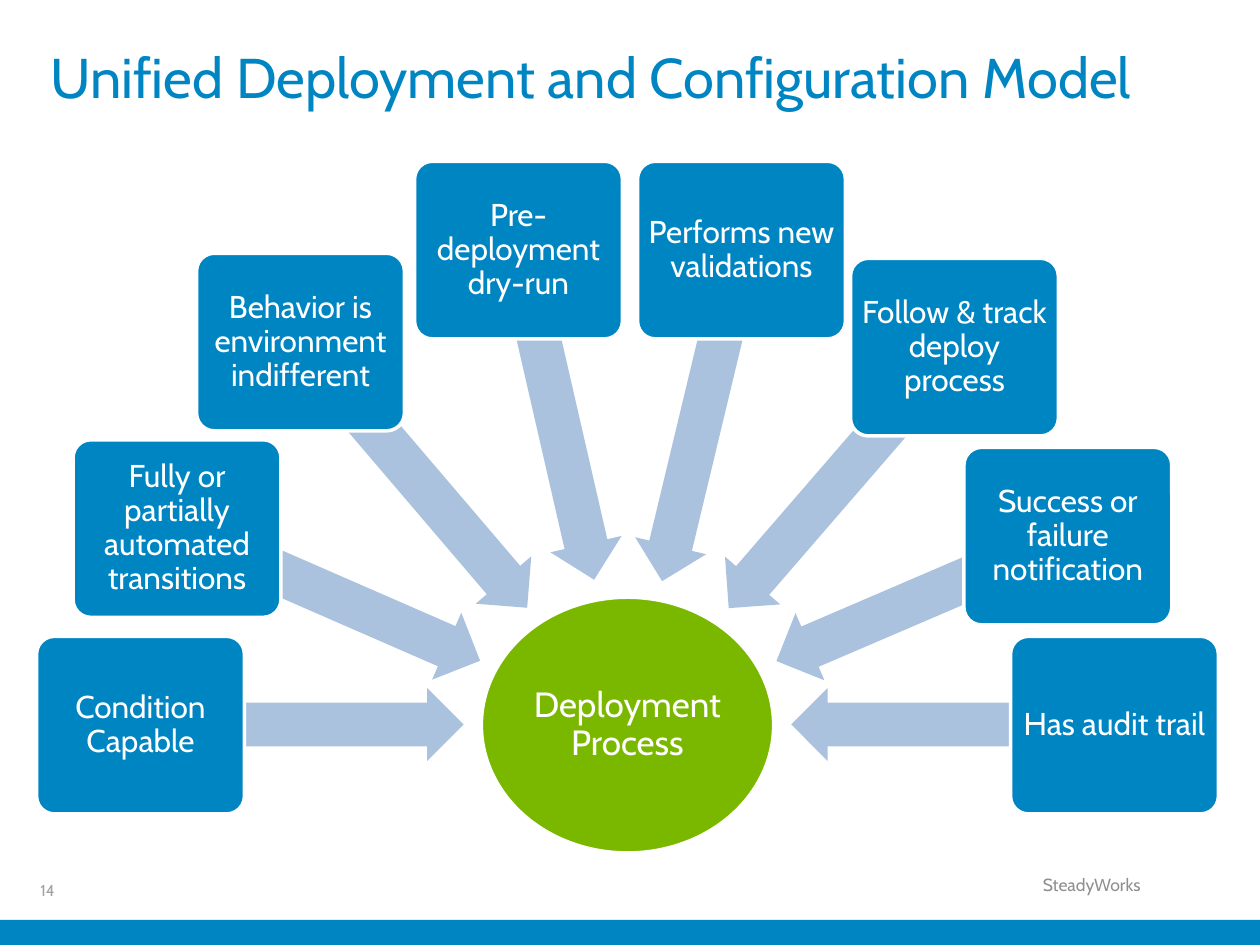
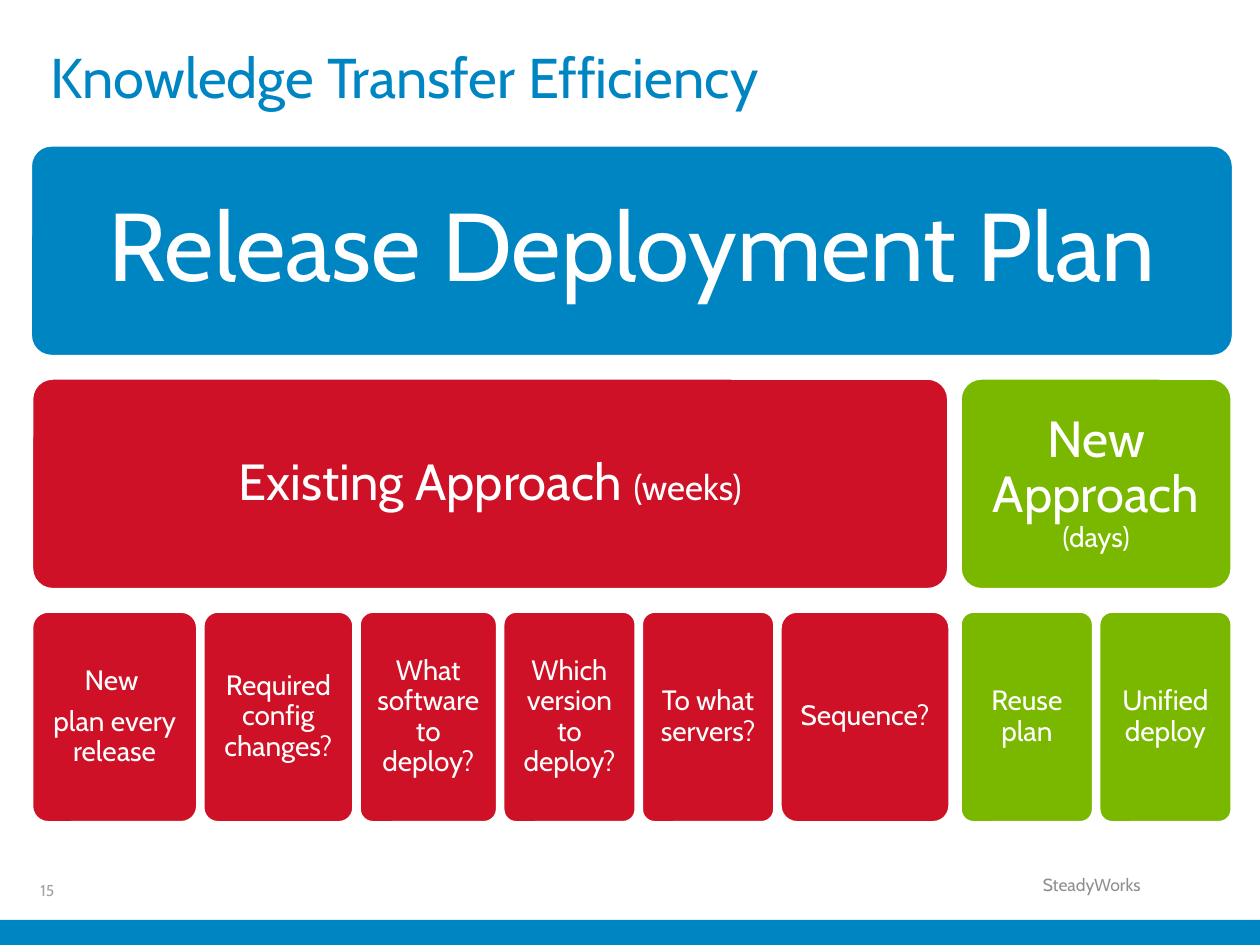
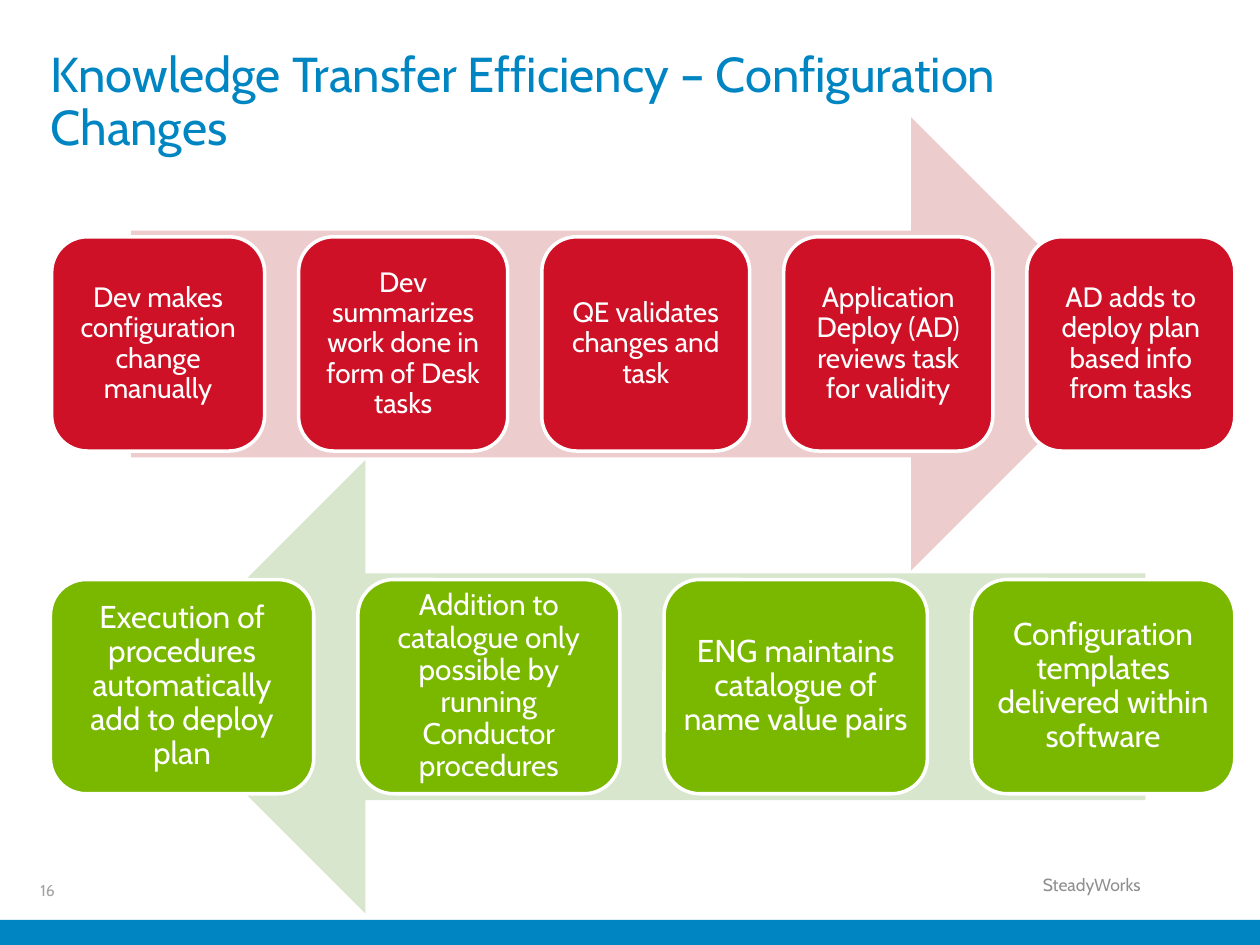
from dataclasses import dataclass
from math import atan2, cos, degrees, hypot, sin

from pptx import Presentation
from pptx.dml.color import RGBColor
from pptx.enum.shapes import MSO_SHAPE
from pptx.enum.text import MSO_ANCHOR, PP_ALIGN
from pptx.util import Pt

SCALE = 9144
FONT = "Cabin"
BLUE = RGBColor(0x00, 0x85, 0xC3)
GREEN = RGBColor(0x7A, 0xB8, 0x00)
RED = RGBColor(0xCE, 0x11, 0x26)
WHITE = RGBColor(0xFF, 0xFF, 0xFF)
STEEL = RGBColor(0xAB, 0xC2, 0xDE)
PINK = RGBColor(0xED, 0xCC, 0xCD)
MINT = RGBColor(0xD7, 0xE6, 0xCC)
GREY = RGBColor(0x8F, 0x8F, 0x8F)
PALE = RGBColor(0xA2, 0xA2, 0xA2)


@dataclass(frozen=True)
class Box:
    left: int
    top: int
    width: int
    height: int


@dataclass(frozen=True)
class Type:
    size: int
    color: RGBColor = WHITE
    align: PP_ALIGN = PP_ALIGN.CENTER
    anchor: MSO_ANCHOR = MSO_ANCHOR.MIDDLE
    inset: tuple[int, int] = (7, 7)


@dataclass(frozen=True)
class Card:
    text: str
    box: Box
    fill: RGBColor
    type: Type
    note: str = ""
    small: int = 0
    curve: float = 0.1
    form: MSO_SHAPE = MSO_SHAPE.ROUNDED_RECTANGLE


HEAD = Type(32, BLUE, PP_ALIGN.LEFT, MSO_ANCHOR.TOP, (0, 0))
LONG = Type(28, BLUE, PP_ALIGN.LEFT, MSO_ANCHOR.TOP, (0, 0))
COUNT = Type(9, PALE, PP_ALIGN.LEFT, MSO_ANCHOR.MIDDLE, (0, 0))
FOOT = Type(10, GREY, PP_ALIGN.RIGHT, MSO_ANCHOR.TOP, (10, 5))
HUB = Box(382, 474, 232, 203)
SPOKE = Type(18, inset=(4, 4))
SPOKES = [
    ("Condition Capable", 29, 505),
    ("Fully or partially automated transitions", 58, 349),
    ("Behavior is environment indifferent", 156, 201),
    ("Pre- deployment dry-run", 329, 128),
    ("Performs new validations", 506, 128),
    ("Follow & track deploy process", 675, 205),
    ("Success or failure notification", 765, 355),
    ("Has audit trail", 802, 505),
]
OLD = [
    ("New \nplan every release", 132),
    ("Required config changes?", 120),
    ("What software to deploy?", 110),
    ("Which version to deploy?", 106),
    ("To what servers?", 106),
    ("Sequence?", 135),
]
NEW = [("Reuse plan", 106), ("Unified deploy", 106)]
MANUAL = [
    ("Dev makes configuration change manually", 169),
    ("Dev summarizes work done in form of Desk tasks", 166),
    ("QE validates changes and task", 165),
    ("Application Deploy (AD) reviews task for validity", 166),
    ("AD adds to deploy plan based info from tasks", 165),
]
MANAGED = [
    ("Execution of procedures automatically add to deploy plan", 209),
    ("Addition to catalogue only possible by running Conductor procedures", 208),
    ("ENG maintains catalogue of name value pairs", 209),
    ("Configuration templates delivered within software", 209),
]


def place(box: Box) -> list[int]:
    return [n * SCALE for n in (box.left, box.top, box.width, box.height)]


def write(shape, text: str, kind: Type, note: str = "", small: int = 0) -> None:
    frame = shape.text_frame
    frame.word_wrap = True
    frame.vertical_anchor = kind.anchor
    side, edge = (n * SCALE for n in kind.inset)
    frame.margin_left = frame.margin_right = side
    frame.margin_top = frame.margin_bottom = edge
    lines = text.split("\n")
    for i, line in enumerate(lines):
        para = frame.paragraphs[0] if i == 0 else frame.add_paragraph()
        para.alignment = kind.align
        para.line_spacing = 0.9
        if i < len(lines) - 1:
            para.space_after = Pt(6)
        font = para.font
        font.name, font.size = FONT, Pt(kind.size)
        font.color.rgb = kind.color
        para.add_run().text = line
    if note:
        tail = para.add_run()
        tail.text = note
        tail.font.size = Pt(small)


def label(slide, text: str, box: Box, kind: Type) -> None:
    write(slide.shapes.add_textbox(*place(box)), text, kind)


def draw(slide, form: MSO_SHAPE, box: Box, fill: RGBColor):
    shape = slide.shapes.add_shape(form, *place(box))
    shape.shadow.inherit = False
    shape.fill.solid()
    shape.fill.fore_color.rgb = fill
    shape.line.fill.background()
    return shape


def deal(slide, card: Card) -> None:
    shape = draw(slide, card.form, card.box, card.fill)
    shape.line.color.rgb = WHITE
    shape.line.width = Pt(2)
    if card.form == MSO_SHAPE.ROUNDED_RECTANGLE:
        shape.adjustments[0] = card.curve
    write(shape, card.text, card.type, card.note, card.small)


def row(items: list[tuple[str, int]], start: Box, gap: int, fill: RGBColor,
        size: int, curve: float = 0.1) -> list[Card]:
    cards, left = [], start.left
    for text, width in items:
        box = Box(left, start.top, width, start.height)
        cards.append(Card(text, box, fill, Type(size), curve=curve))
        left += width + gap
    return cards


def begin(deck, number: int, title: str, kind: Type = HEAD, width: int = 870):
    slide = deck.slides.add_slide(deck.slide_layouts[6])
    label(slide, str(number), Box(32, 701, 29, 13), COUNT)
    draw(slide, MSO_SHAPE.RECTANGLE, Box(0, 730, 1000, 20), BLUE)
    label(slide, "SteadyWorks", Box(745, 691, 170, 25), FOOT)
    label(slide, title, Box(40, 40, width, 93), kind)
    return slide


def point(slide, box: Box) -> None:
    x, y = box.left + box.width / 2, box.top + box.height / 2
    dx = HUB.left + HUB.width / 2 - x
    dy = HUB.top + HUB.height / 2 - y
    turn = atan2(dy, dx)
    span = hypot(dx, dy) - 1 / hypot(cos(turn) / 130.5, sin(turn) / 117.5)
    left = round(x + span / 2 * cos(turn) - span / 2)
    top = round(y + span / 2 * sin(turn) - 29)
    arrow = draw(slide, MSO_SHAPE.LEFT_ARROW, Box(left, top, round(span), 58), STEEL)
    arrow.rotation = (degrees(turn) + 180) % 360
    arrow.adjustments[0] = 0.6
    arrow.adjustments[1] = 0.5


def model(deck) -> None:
    slide = begin(deck, 14, "Unified Deployment and Configuration Model", width=930)
    deal(slide, Card("Deployment Process", HUB, GREEN, Type(20, inset=(1, 1)),
                     form=MSO_SHAPE.OVAL))
    for text, left, top in SPOKES:
        box = Box(left, top, 165, 141)
        point(slide, box)
        deal(slide, Card(text, box, BLUE, SPOKE))


def plan(deck) -> None:
    slide = begin(deck, 15, "Knowledge Transfer Efficiency")
    group = Type(29, inset=(12, 12))
    cards = [
        Card("Release Deployment Plan", Box(24, 115, 955, 168), BLUE,
             Type(55, inset=(23, 23))),
        Card("Existing Approach ", Box(25, 300, 728, 168), RED, group, "(weeks)", 20),
        Card("New Approach ", Box(762, 300, 216, 168), GREEN, group, "(days)", 16),
        *row(OLD, Box(25, 485, 0, 168), 4, RED, 16),
        *row(NEW, Box(762, 485, 0, 168), 4, GREEN, 16),
    ]
    for card in cards:
        deal(slide, card)


def change(deck) -> None:
    title = "Knowledge Transfer Efficiency – Configuration Changes"
    slide = begin(deck, 16, title, LONG)
    draw(slide, MSO_SHAPE.RIGHT_ARROW, Box(104, 93, 799, 360), PINK)
    draw(slide, MSO_SHAPE.LEFT_ARROW, Box(110, 365, 799, 360), MINT)
    first, dense, *rest = row(MANAGED, Box(40, 460, 0, 170), 35, GREEN, 18, 0.1667)
    tight = Card(dense.text, dense.box, GREEN, Type(17), curve=dense.curve)
    steps = row(MANUAL, Box(41, 188, 0, 170), 27, RED, 16, 0.1667)
    for card in [*steps, first, tight, *rest]:
        deal(slide, card)


def main() -> None:
    deck = Presentation()
    deck.slide_width, deck.slide_height = 1000 * SCALE, 750 * SCALE
    for build in (model, plan, change):
        build(deck)
    deck.save("out.pptx")


if __name__ == "__main__":
    main()
